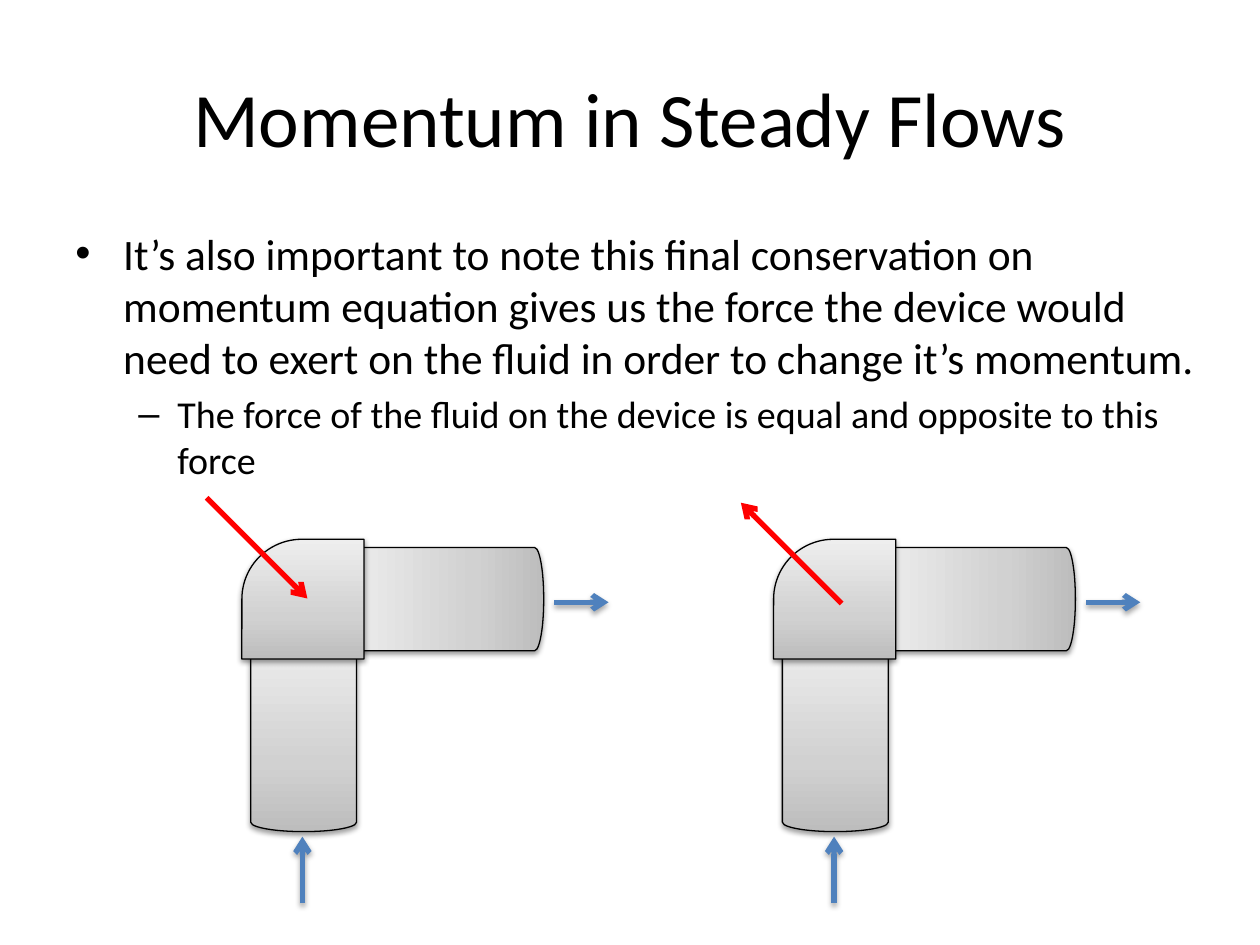
from dataclasses import dataclass

import pptx
import pptx.dml.color
import pptx.enum.shapes
import pptx.enum.text
import pptx.oxml
import pptx.oxml.ns
import pptx.util
from pptx.util import Inches

BLACK = pptx.dml.color.RGBColor(0x00, 0x00, 0x00)
FLOW_BLUE = pptx.dml.color.RGBColor(0x4F, 0x81, 0xBD)
FORCE_RED = pptx.dml.color.RGBColor(0xFF, 0x00, 0x00)
METAL_STOPS = {
    0: pptx.dml.color.RGBColor(0xBD, 0xBD, 0xBD),
    35: pptx.dml.color.RGBColor(0xD1, 0xD1, 0xD1),
    100: pptx.dml.color.RGBColor(0xEE, 0xEE, 0xEE),
}
NAMESPACE = pptx.oxml.ns.nsdecls("a")
SHAPE = pptx.enum.shapes.MSO_SHAPE
ALIGN = pptx.enum.text.PP_ALIGN
ANCHOR = pptx.enum.text.MSO_ANCHOR
ELBOW_SPACING = 4.22


@dataclass
class Part:
    preset: SHAPE
    left: float
    top: float
    width: float
    height: float
    adjustment: float
    rotation: int = 0
    flipped: bool = False


@dataclass
class Arrow:
    x1: float
    y1: float
    x2: float
    y2: float


PIPE_PARTS = [
    Part(SHAPE.CAN, 1.99, 5.05, 0.84, 1.55, 0.177),
    Part(SHAPE.CAN, 3.11, 3.96, 0.82, 1.59, 0.177, rotation=270),
    Part(SHAPE.ROUND_1_RECTANGLE, 1.92, 4.28, 0.97, 0.95, 0.5, flipped=True),
]
FLOW_ARROWS = [Arrow(2.4, 7.17, 2.4, 6.64), Arrow(4.4, 4.78, 4.83, 4.78)]
FORCE_ARROWS = [Arrow(1.64, 3.95, 2.44, 4.75), Arrow(6.68, 4.79, 5.88, 3.99)]


def add_effects(shape, shadow_opacity: int = 0, distance: float = 0) -> None:
    """Give the shape a downward shadow, or none when the opacity is zero."""
    shadow = ""
    if shadow_opacity:
        shadow = (
            f'<a:outerShdw blurRad="{pptx.util.Pt(3.1)}" dist="{pptx.util.Pt(distance)}" '
            'dir="5400000" rotWithShape="0"><a:srgbClr val="000000">'
            f'<a:alpha val="{shadow_opacity * 1000}"/></a:srgbClr></a:outerShdw>'
        )
    shape._element.spPr.append(
        pptx.oxml.parse_xml(f"<a:effectLst {NAMESPACE}>{shadow}</a:effectLst>")
    )


def add_part(shapes, part: Part, offset: float) -> None:
    shape = shapes.add_shape(
        part.preset, Inches(part.left + offset), Inches(part.top),
        Inches(part.width), Inches(part.height),
    )
    shape.adjustments[0] = part.adjustment
    shape.rotation = part.rotation
    properties = shape._element.spPr
    if part.flipped:
        properties.xfrm.set("flipH", "1")
    stops = "".join(
        f'<a:gs pos="{position * 1000}"><a:srgbClr val="{color}"/></a:gs>'
        for position, color in METAL_STOPS.items()
    )
    properties.append(pptx.oxml.parse_xml(
        f'<a:gradFill {NAMESPACE} rotWithShape="1"><a:gsLst>{stops}</a:gsLst>'
        '<a:lin ang="16200000" scaled="0"/></a:gradFill>'
    ))
    shape.line.color.rgb = BLACK
    shape.line.width = pptx.util.Pt(0.75)
    add_effects(shape, 38, 1.6)


def add_arrow(shapes, arrow: Arrow, color: pptx.dml.color.RGBColor,
              offset: float = 0, shadow_opacity: int = 0) -> None:
    connector = shapes.add_connector(
        pptx.enum.shapes.MSO_CONNECTOR.STRAIGHT,
        Inches(arrow.x1 + offset), Inches(arrow.y1),
        Inches(arrow.x2 + offset), Inches(arrow.y2),
    )
    connector.line.color.rgb = color
    connector.line.width = pptx.util.Pt(3)
    connector.line._get_or_add_ln().append(
        pptx.oxml.parse_xml(f'<a:tailEnd {NAMESPACE} type="arrow"/>')
    )
    add_effects(connector, shadow_opacity, 1.8)


def add_pipe_elbow(slide, offset: float) -> None:
    elbow = slide.shapes.add_group_shape()
    for part in PIPE_PARTS:
        add_part(elbow.shapes, part, offset)
    for arrow in FLOW_ARROWS:
        add_arrow(elbow.shapes, arrow, FLOW_BLUE, offset, shadow_opacity=35)


def add_text_frame(slide, left: float, top: float, width: float, height: float, anchor: ANCHOR):
    frame = slide.shapes.add_textbox(
        Inches(left), Inches(top), Inches(width), Inches(height)
    ).text_frame
    frame.word_wrap = True
    frame.vertical_anchor = anchor
    return frame


def write_paragraph(paragraph, text: str, *, size: float, align: ALIGN = ALIGN.LEFT,
                    bullet: str = "", level: int = 0, margin: float = 0,
                    hanging: float = 0, space_before: float = 0) -> None:
    paragraph.alignment = align
    paragraph.level = level
    paragraph.space_before = pptx.util.Pt(space_before)
    if bullet:
        properties = paragraph._p.get_or_add_pPr()
        properties.set("marL", str(Inches(margin)))
        properties.set("indent", str(-Inches(hanging)))
        for bullet_xml in (
            f'<a:buFont {NAMESPACE} typeface="Arial"/>',
            f'<a:buChar {NAMESPACE} char="{bullet}"/>',
        ):
            properties.append(pptx.oxml.parse_xml(bullet_xml))
    run = paragraph.add_run()
    run.text = text
    run.font.name = "Calibri"
    run.font.size = pptx.util.Pt(size)
    run.font.color.rgb = BLACK


def main() -> None:
    presentation = pptx.Presentation()
    presentation.slide_width = Inches(10)
    presentation.slide_height = Inches(7.5)
    slide = presentation.slides.add_slide(presentation.slide_layouts[6])

    title = add_text_frame(slide, 0.5, 0.3, 9, 1.25, ANCHOR.MIDDLE)
    write_paragraph(title.paragraphs[0], "Momentum in Steady Flows",
                    size=44, align=ALIGN.CENTER)

    body = add_text_frame(slide, 0.5, 1.75, 9.17, 1.92, ANCHOR.TOP)
    write_paragraph(
        body.paragraphs[0],
        "It’s also important to note this final conservation on momentum equation gives us "
        "the force the device would need to exert on the fluid in order to change it’s momentum.",
        size=24.8, bullet="•", margin=0.38, hanging=0.38,
    )
    write_paragraph(
        body.add_paragraph(),
        "The force of the fluid on the device is equal and opposite to this force",
        size=21.7, bullet="–", level=1, margin=0.81, hanging=0.31, space_before=4.3,
    )

    for column in range(2):
        add_pipe_elbow(slide, column * ELBOW_SPACING)
    for arrow in FORCE_ARROWS:
        add_arrow(slide.shapes, arrow, FORCE_RED)

    presentation.save("out.pptx")


if __name__ == "__main__":
    main()
